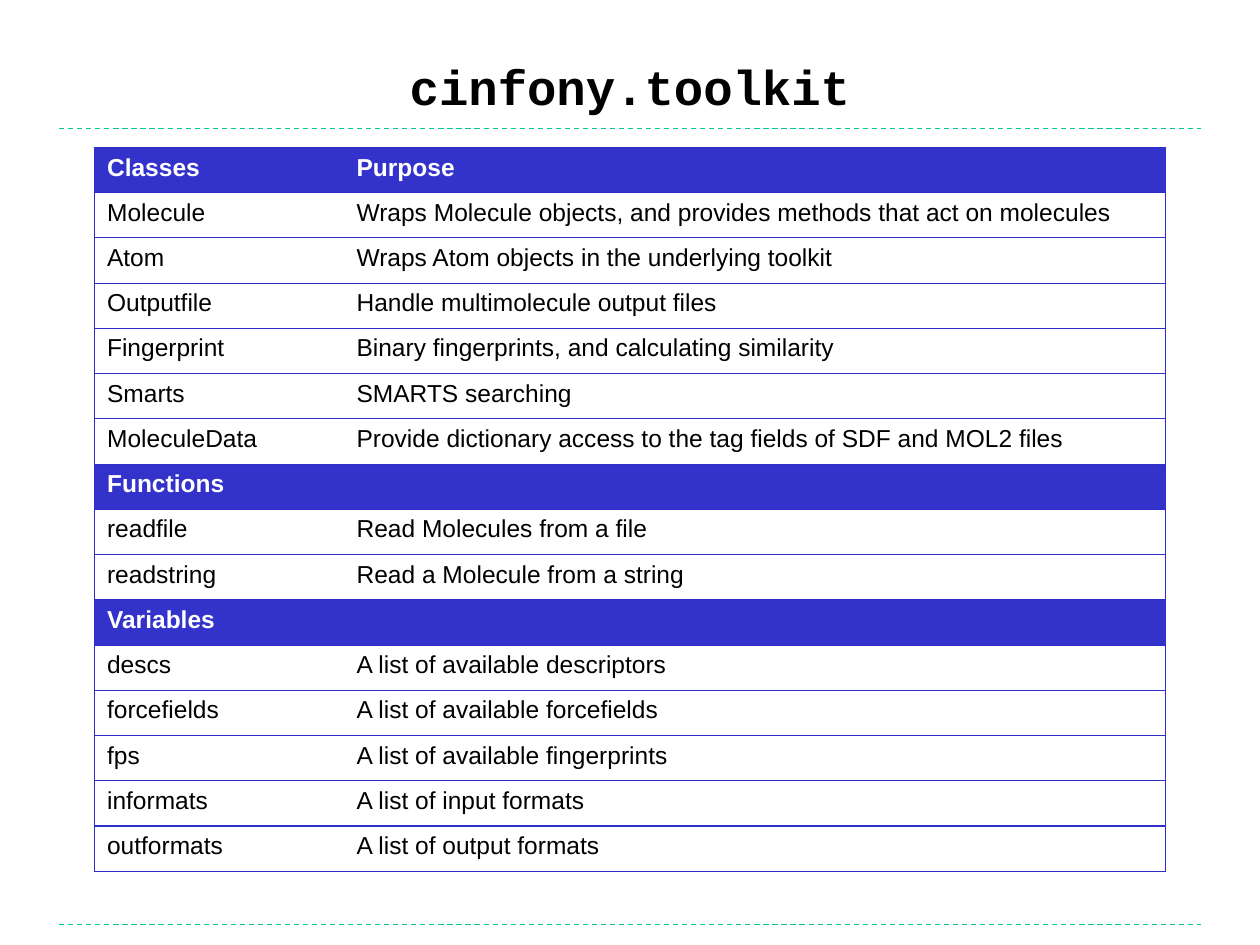
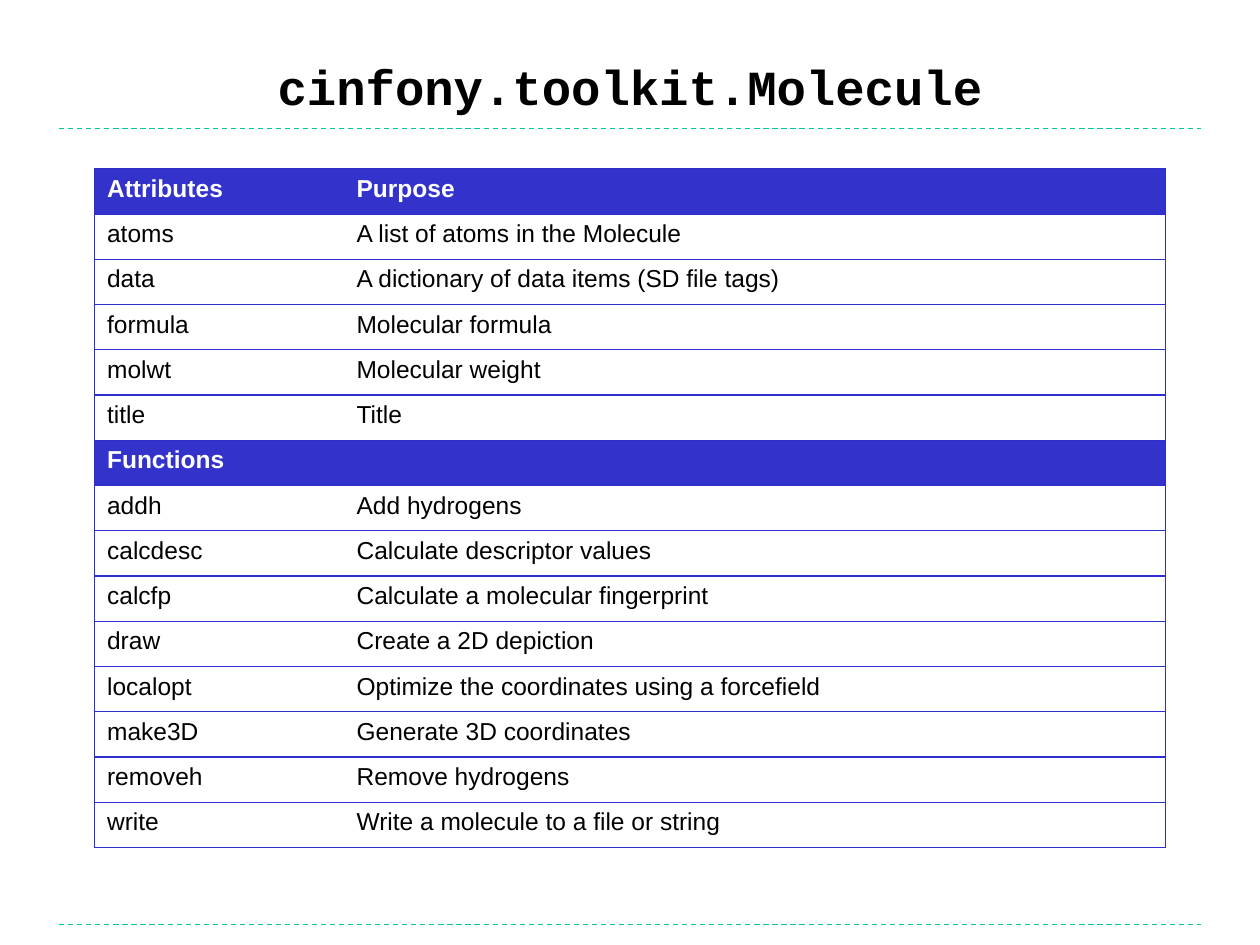
import pptx
import pptx.util
import pptx.dml.color
import pptx.enum.dml
import pptx.enum.shapes
import pptx.enum.text
import pptx.oxml.ns
import lxml.etree
from dataclasses import dataclass

Inches = pptx.util.Inches
Pt = pptx.util.Pt


@dataclass(frozen=True)
class Theme:
    text: str = "000000"
    header_text: str = "FFFFFF"
    header_fill: str = "3333CC"
    border: str = "2E2ECB"
    rule: str = "00C896"
    title_font: str = "Courier New"
    body_font: str = "Arial"
    title_size: float = 28
    body_size: float = 14
    line_width: float = 0.75


def rgb(value):
    return pptx.dml.color.RGBColor.from_string(value)


def sub(parent, tag, **attrs):
    return lxml.etree.SubElement(parent, pptx.oxml.ns.qn(tag), attrs)


class Deck:
    """Holds the style and the current slide."""

    def __init__(self, theme):
        self.theme = theme
        self.prs = pptx.Presentation()
        self.prs.slide_width = Inches(10)
        self.prs.slide_height = Inches(7.5)
        self.s = None

    def new_slide(self, title):
        self.s = self.prs.slides.add_slide(self.prs.slide_layouts[5])
        for y in (7.34, 1.02):
            self.rule(y)
        self.title(title)

    def style(self, font, color, **values):
        for name, value in values.items():
            setattr(font, name, value)
        font.color.rgb = rgb(color)

    def rule(self, y):
        line = self.s.shapes.add_connector(
            pptx.enum.shapes.MSO_CONNECTOR.STRAIGHT,
            Inches(0.47), Inches(y), Inches(9.53), Inches(y))
        line.line.color.rgb = rgb(self.theme.rule)
        line.line.width = Pt(self.theme.line_width)
        line.line.dash_style = pptx.enum.dml.MSO_LINE.DASH
        sub(line._element.spPr, "a:effectLst")

    def title(self, text):
        sp = self.s.shapes.title
        box = {"left": 0.75, "top": 0.35, "width": 8.5, "height": 0.66}
        for name, value in box.items():
            setattr(sp, name, Inches(value))
        tf = sp.text_frame
        tf.auto_size = pptx.enum.text.MSO_AUTO_SIZE.NONE
        tf.vertical_anchor = pptx.enum.text.MSO_ANCHOR.MIDDLE
        p = tf.paragraphs[0]
        p.alignment = pptx.enum.text.PP_ALIGN.CENTER
        r = p.add_run()
        r.text = text
        self.style(r.font, self.theme.text, name=self.theme.title_font,
                   size=Pt(self.theme.title_size), bold=True)

    def borders(self, cell, visible):
        tc_pr = cell._tc.get_or_add_tcPr()
        for side in "LRTB":
            ln = sub(tc_pr, f"a:ln{side}", w=str(Pt(self.theme.line_width)))
            if side in visible:
                fill = sub(ln, "a:solidFill")
                sub(fill, "a:srgbClr", val=self.theme.border)
            else:
                sub(ln, "a:noFill")

    def cell(self, cell, text, is_header):
        p = cell.text_frame.paragraphs[0]
        if text:
            r = p.add_run()
            r.text = text
            color = self.theme.header_text if is_header else self.theme.text
            self.style(r.font, color, name=self.theme.body_font,
                       size=Pt(self.theme.body_size), bold=is_header)
        else:
            # An empty cell keeps the body size, so its row does not grow
            sub(p._p, "a:endParaRPr", sz=str(int(self.theme.body_size * 100)))
        if is_header:
            cell.fill.solid()
            cell.fill.fore_color.rgb = rgb(self.theme.header_fill)
        else:
            cell.fill.background()

    def table(self, top, height, sections):
        """Each section is a header row followed by its entries."""
        rows = [(row, i == 0) for section in sections
                for i, row in enumerate(section)]
        table = self.s.shapes.add_table(
            len(rows), 2, Inches(0.75), Inches(top),
            Inches(8.5), Inches(height)).table
        for column, width in zip(table.columns, (1.98, 6.52)):
            column.width = Inches(width)
        for i, (row, is_header) in enumerate(rows):
            for j, text in enumerate(row):
                cell = table.cell(i, j)
                self.borders(cell, ("LTB", "RTB")[j])
                self.cell(cell, text, is_header)


TOOLKIT = [
    [("Classes", "Purpose"),
     ("Molecule", "Wraps Molecule objects, and provides methods that act on molecules"),
     ("Atom", "Wraps Atom objects in the underlying toolkit"),
     ("Outputfile", "Handle multimolecule output files"),
     ("Fingerprint", "Binary fingerprints, and calculating similarity"),
     ("Smarts", "SMARTS searching"),
     ("MoleculeData", "Provide dictionary access to the tag fields of SDF and MOL2 files")],
    [("Functions", ""),
     ("readfile", "Read Molecules from a file"),
     ("readstring", "Read a Molecule from a string")],
    [("Variables", ""),
     ("descs", "A list of available descriptors"),
     ("forcefields", "A list of available forcefields"),
     ("fps", "A list of available fingerprints"),
     ("informats", "A list of input formats"),
     ("outformats", "A list of output formats")],
]

MOLECULE = [
    [("Attributes", "Purpose"),
     ("atoms", "A list of atoms in the Molecule"),
     ("data", "A dictionary of data items (SD file tags)"),
     ("formula", "Molecular formula"),
     ("molwt", "Molecular weight"),
     ("title", "Title")],
    [("Functions", ""),
     ("addh", "Add hydrogens"),
     ("calcdesc", "Calculate descriptor values"),
     ("calcfp", "Calculate a molecular fingerprint"),
     ("draw", "Create a 2D depiction"),
     ("localopt", "Optimize the coordinates using a forcefield"),
     ("make3D", "Generate 3D coordinates"),
     ("removeh", "Remove hydrogens"),
     ("write", "Write a molecule to a file or string")],
]


def main():
    deck = Deck(Theme())

    # Toolkit module
    deck.new_slide("cinfony.toolkit")
    deck.table(1.17, 5.75, TOOLKIT)

    # Molecule class
    deck.new_slide("cinfony.toolkit.Molecule")
    deck.table(1.34, 5.39, MOLECULE)

    deck.prs.save("out.pptx")


if __name__ == "__main__":
    main()
